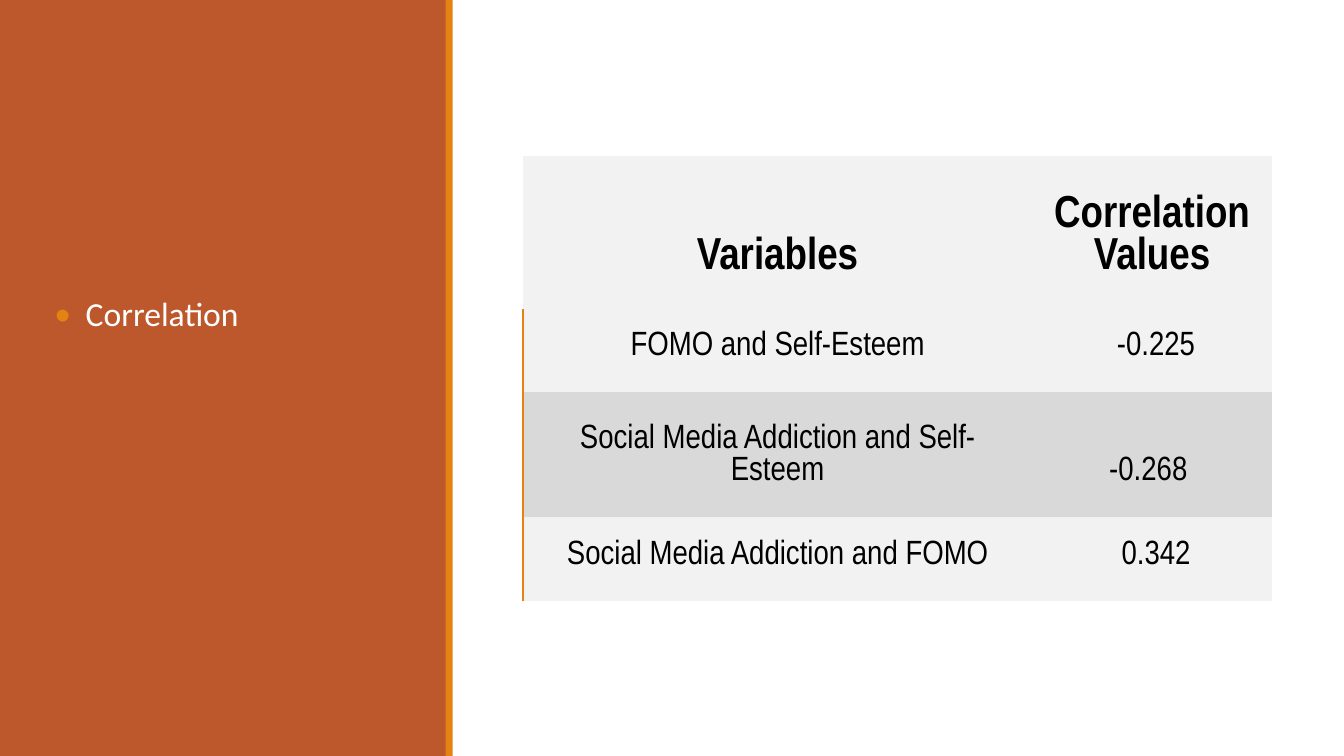
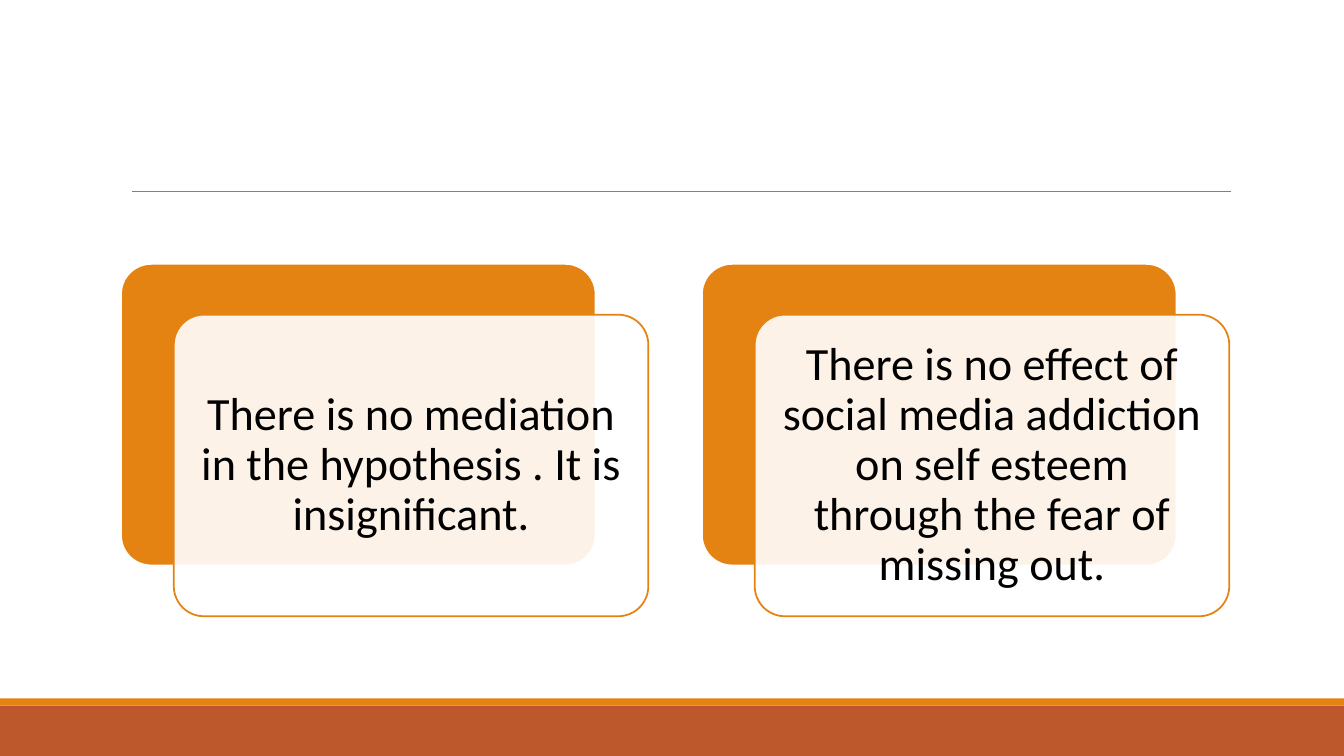
from lxml.etree import SubElement
from pptx import Presentation
from pptx.dml.color import RGBColor
from pptx.enum.shapes import MSO_CONNECTOR as Link, MSO_SHAPE as Shape
from pptx.enum.text import MSO_ANCHOR as Anchor, MSO_AUTO_SIZE as Fit, PP_ALIGN as Align
from pptx.oxml.ns import qn
from pptx.util import Cm, Pt

# Content
TOPIC = "Correlation"
ROWS = [
    ("Variables", "Correlation Values"),
    ("FOMO and Self-Esteem", " -0.225"),
    ("Social Media Addiction and Self-Esteem", "-0.268 "),
    ("Social Media Addiction and FOMO", " 0.342"),
]
CARDS = [
    "There is no mediation in the hypothesis . It is insignificant.",
    "There is no effect of social media addiction on self esteem "
    "through the fear of missing out.",
]

# Shared style
HUES = {
    "rust": "BD582C", "gold": "E48312", "white": "FFFFFF", "black": "000000",
    "pale": "F2F2F2", "grey": "D9D9D9", "rule": "808080",
}
WIDE, HIGH = 33.87, 19.05
STRIPE = 0.18
NO_STYLE = "{2D5ABB26-0587-4C30-8999-92F81FD0307C}"


def hue(name):
    return RGBColor.from_string(HUES[name])


def box(slide, kind, x, y, w, h, fill, line=None):
    shape = slide.shapes.add_shape(kind, Cm(x), Cm(y), Cm(w), Cm(h))
    shape.shadow.inherit = False
    shape.fill.solid()
    shape.fill.fore_color.rgb = hue(fill)
    if line:
        shape.line.color.rgb = hue(line)
        shape.line.width = Pt(1.25)
    else:
        shape.line.fill.background()
    return shape


def pad(part, left, top, right, bottom):
    part.margin_left, part.margin_top = Cm(left), Cm(top)
    part.margin_right, part.margin_bottom = Cm(right), Cm(bottom)


def write(para, text, size, face, color, bold=False):
    run = para.add_run()
    run.text = text
    font = run.font
    font.size, font.name, font.bold = Pt(size), face, bold
    font.color.rgb = hue(color)


def bullet(para, color):
    props = para._p.get_or_add_pPr()
    props.set("marL", str(Cm(0.79)))
    props.set("indent", str(-Cm(0.79)))
    tint = SubElement(props, qn("a:buClr"))
    SubElement(tint, qn("a:srgbClr"), val=HUES[color])
    SubElement(props, qn("a:buFont"), typeface="Calibri")
    SubElement(props, qn("a:buChar"), char="•")


def edge(cell, color):
    props = cell._tc.get_or_add_tcPr()
    line = SubElement(props, qn("a:lnL"), w=str(Pt(1)))
    fill = SubElement(line, qn("a:solidFill"))
    SubElement(fill, qn("a:srgbClr"), val=HUES[color])
    props.insert(0, line)


def add_table(slide):
    cols, highs = (12.5, 6.38), (3.84, 2.11, 3.15, 2.11)
    frame = slide.shapes.add_table(
        len(ROWS), len(cols), Cm(13.18), Cm(3.94), Cm(sum(cols)), Cm(sum(highs)))
    grid = frame.table
    grid.first_row = grid.horz_banding = False
    for style in frame._element.iter(qn("a:tableStyleId")):
        style.text = NO_STYLE
    for col, wide in zip(grid.columns, cols):
        col.width = Cm(wide)
    for r, (texts, high) in enumerate(zip(ROWS, highs)):
        grid.rows[r].height = Cm(high)
        for c, text in enumerate(texts):
            cell = grid.cell(r, c)
            cell.fill.solid()
            cell.fill.fore_color.rgb = hue("grey" if r == 2 else "pale")
            cell.vertical_anchor = Anchor.BOTTOM
            pad(cell, 0.36, 0.1, 0.03, 0.76)
            para = cell.text_frame.paragraphs[0]
            para.alignment = Align.CENTER
            write(para, text, 24 if r else 32, "Arial Narrow", "black", r == 0)
            if r and c == 0:
                edge(cell, "gold")


def add_card(slide, x, y, text):
    wide, high = 11.96, 7.6
    back = box(slide, Shape.ROUNDED_RECTANGLE, x, y, wide, high, "gold", "white")
    front = box(slide, Shape.ROUNDED_RECTANGLE, x + 1.33, y + 1.28, wide, high,
                "white", "gold")
    back.adjustments[0] = front.adjustments[0] = 0.1
    tint = front._element.spPr.find(qn("a:solidFill"))[0]
    SubElement(tint, qn("a:alpha"), val="90000")
    frame = front.text_frame
    frame.word_wrap = True
    frame.vertical_anchor = Anchor.MIDDLE
    # The rounded corners already inset the text by a little
    pad(frame, 0.35, 0.35, 0.35, 0.35)
    para = frame.paragraphs[0]
    para.alignment, para.line_spacing = Align.CENTER, 0.9
    write(para, text, 33, "Calibri", "black")


def table_slide(deck):
    slide = deck.slides.add_slide(deck.slide_layouts[1])
    title, body = slide.placeholders
    title._element.getparent().remove(title._element)
    box(slide, Shape.RECTANGLE, 0, 0, 11.25, HIGH, "rust")
    box(slide, Shape.RECTANGLE, 11.23, 0, STRIPE, HIGH, "gold")
    # Bring the list in front of the side panel
    body._element.getparent().append(body._element)
    body.left, body.top, body.width, body.height = Cm(1.37), Cm(7.37), Cm(8.56), Cm(9.27)
    frame = body.text_frame
    frame.auto_size, frame.word_wrap = Fit.NONE, True
    frame.vertical_anchor = Anchor.TOP
    pad(frame, 0, 0.13, 0, 0.13)
    para = frame.paragraphs[0]
    bullet(para, "gold")
    para.line_spacing, para.space_before, para.space_after = 0.9, Pt(0), Pt(6)
    write(para, TOPIC, 24, "Calibri", "white")
    add_table(slide)


def card_slide(deck):
    slide = deck.slides.add_slide(deck.slide_layouts[6])
    box(slide, Shape.RECTANGLE, 0, 17.78, WIDE, HIGH - 17.78, "rust")
    box(slide, Shape.RECTANGLE, 0, 17.6, WIDE, STRIPE, "gold")
    rule = slide.shapes.add_connector(
        Link.STRAIGHT, Cm(3.33), Cm(4.83), Cm(31.01), Cm(4.83))
    rule.line.color.rgb = hue("rule")
    rule.line.width = Pt(0.5)
    SubElement(rule._element.spPr, qn("a:effectLst"))
    for i, text in enumerate(CARDS):
        add_card(slide, 3.05 + i * 14.64, 6.65, text)


def main():
    deck = Presentation()
    deck.slide_width, deck.slide_height = Cm(WIDE), Cm(HIGH)
    table_slide(deck)
    card_slide(deck)
    deck.save("out.pptx")


if __name__ == "__main__":
    main()
